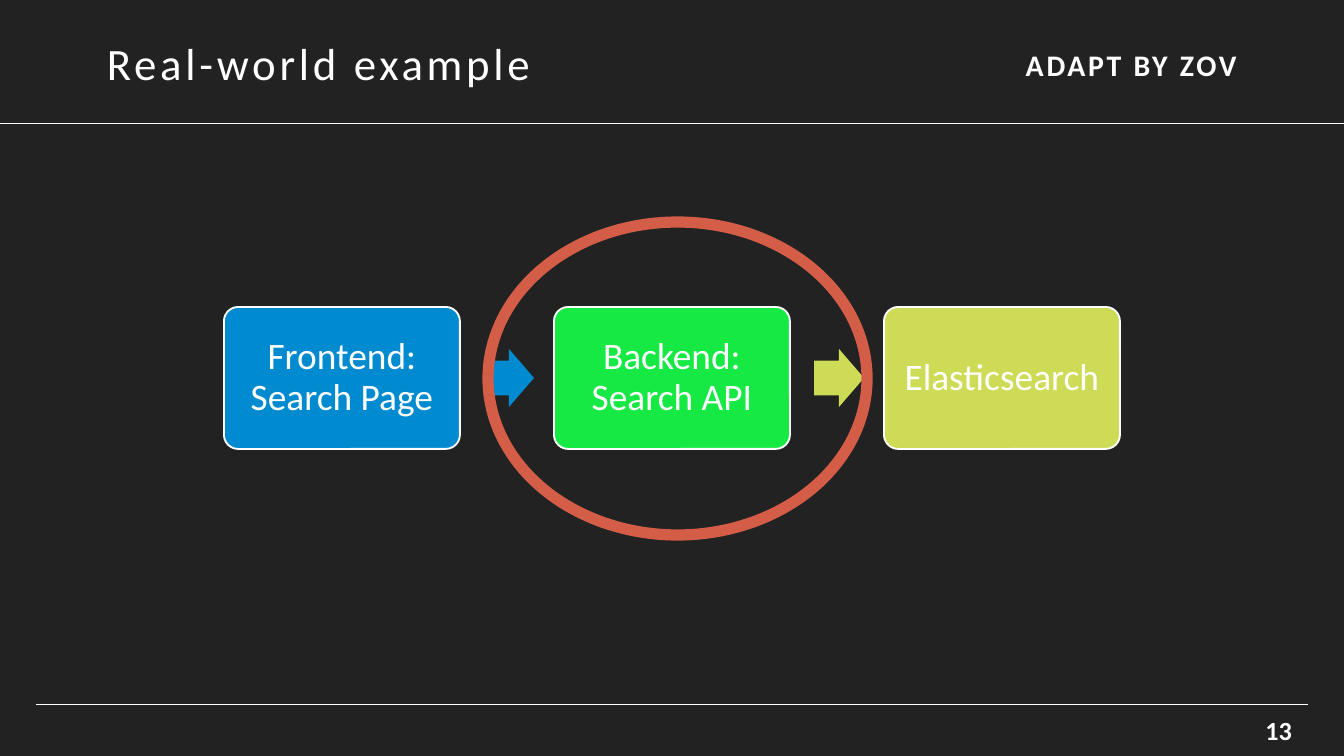
from pptx import Presentation
from pptx.dml.color import RGBColor as RGB
from pptx.enum.shapes import MSO_CONNECTOR as Link, MSO_SHAPE as Kind
from pptx.enum.text import MSO_ANCHOR as Anchor, MSO_AUTO_SIZE as Fit, PP_ALIGN as Align
from pptx.oxml.ns import qn
from pptx.util import Pt
from lxml.etree import SubElement as Sub

SCALE = 914400 / 134.4  # EMU in one px
FONT = "Calibri"
COLOR = {
    "back": "222222",
    "white": "FFFFFF",
    "page": "FEFEFE",
    "blue": "008ACF",
    "green": "17E944",
    "lime": "CEDB56",
    "ring": "D35D47",
}
STEPS = [
    ("Frontend: Search Page", "blue"),
    ("Backend: Search API", "green"),
    ("Elasticsearch", "lime"),
]
ARROWS = ["blue", "lime"]
LEFT, PITCH = 224, 330  # first step and distance to the next


def px(num):
    return round(num * SCALE)


def rgb(name):
    return RGB.from_string(COLOR[name])


def write(shape, text, size, color="white", bold=False, align=Align.LEFT,
          track=0, lead=1.0, pad=(13, 7, 13, 7)):
    """Put one formatted paragraph in a shape; pad is left, top, right, bottom."""
    frame = shape.text_frame
    frame.auto_size = Fit.NONE
    frame.word_wrap = True
    frame.vertical_anchor = Anchor.MIDDLE
    (frame.margin_left, frame.margin_top,
     frame.margin_right, frame.margin_bottom) = map(px, pad)
    para = frame.paragraphs[0]
    para.alignment = align
    para.line_spacing = lead
    run = para.add_run()
    run.text = text
    font = run.font
    font.name, font.size, font.bold = FONT, Pt(size), bold
    font.color.rgb = rgb(color)
    if track:
        font._element.set("spc", str(round(track * 100)))


def label(slide, text, box, **form):
    write(slide.shapes.add_textbox(*map(px, box)), text, **form)


def rule(slide, start, end, top):
    line = slide.shapes.add_connector(
        Link.STRAIGHT, px(start), px(top), px(end), px(top))
    line.line.color.rgb = rgb("white")
    line.line.width = Pt(0.5)
    Sub(line._element.spPr, qn("a:effectLst"))


def draw(slide, kind, box, fill=None, line=None, width=1, adjust=()):
    shape = slide.shapes.add_shape(kind, *map(px, box))
    shape.shadow.inherit = False
    for spot, value in enumerate(adjust):
        shape.adjustments[spot] = value
    if fill:
        shape.fill.solid()
        shape.fill.fore_color.rgb = rgb(fill)
    else:
        shape.fill.background()
    if line:
        shape.line.color.rgb = rgb(line)
        shape.line.width = Pt(width)
    else:
        shape.line.fill.background()
    return shape


def head(slide):
    title = slide.shapes.title
    title.left, title.top, title.width, title.height = map(px, (94, 39, 853, 48))
    write(title, "Real-world example", size=24, track=2)
    label(slide, "ADAPT BY ZOV", (990, 39, 260, 51), size=16, bold=True,
          align=Align.RIGHT, track=1.5)
    rule(slide, 0, 1344, 124)


def foot(slide):
    rule(slide, 36, 1308, 705)
    label(slide, "13", (1090, 710, 202, 46), size=14, color="page", bold=True,
          align=Align.RIGHT, pad=(13, 7, 0, 12))


def flow(slide):
    for spot, (text, color) in enumerate(STEPS):
        step = draw(slide, Kind.ROUNDED_RECTANGLE,
                    (LEFT + spot * PITCH, 307, 236, 142),
                    fill=color, line="white", adjust=[0.1])
        write(step, text, size=20, align=Align.CENTER, lead=0.9,
              pad=(15, 15, 15, 15))
    for spot, color in enumerate(ARROWS):
        draw(slide, Kind.RIGHT_ARROW, (LEFT + 260 + spot * PITCH, 349, 50, 58),
             fill=color, adjust=[0.6, 0.5])


def main():
    deck = Presentation()
    deck.slide_width, deck.slide_height = px(1344), px(756)
    slide = deck.slides.add_slide(deck.slide_layouts[5])  # title only
    back = slide.background.fill
    back.solid()
    back.fore_color.rgb = rgb("back")

    head(slide)
    foot(slide)
    flow(slide)
    # Ring around the backend step
    draw(slide, Kind.OVAL, (488, 222, 379, 313), line="ring", width=6)

    deck.save("out.pptx")


if __name__ == "__main__":
    main()
